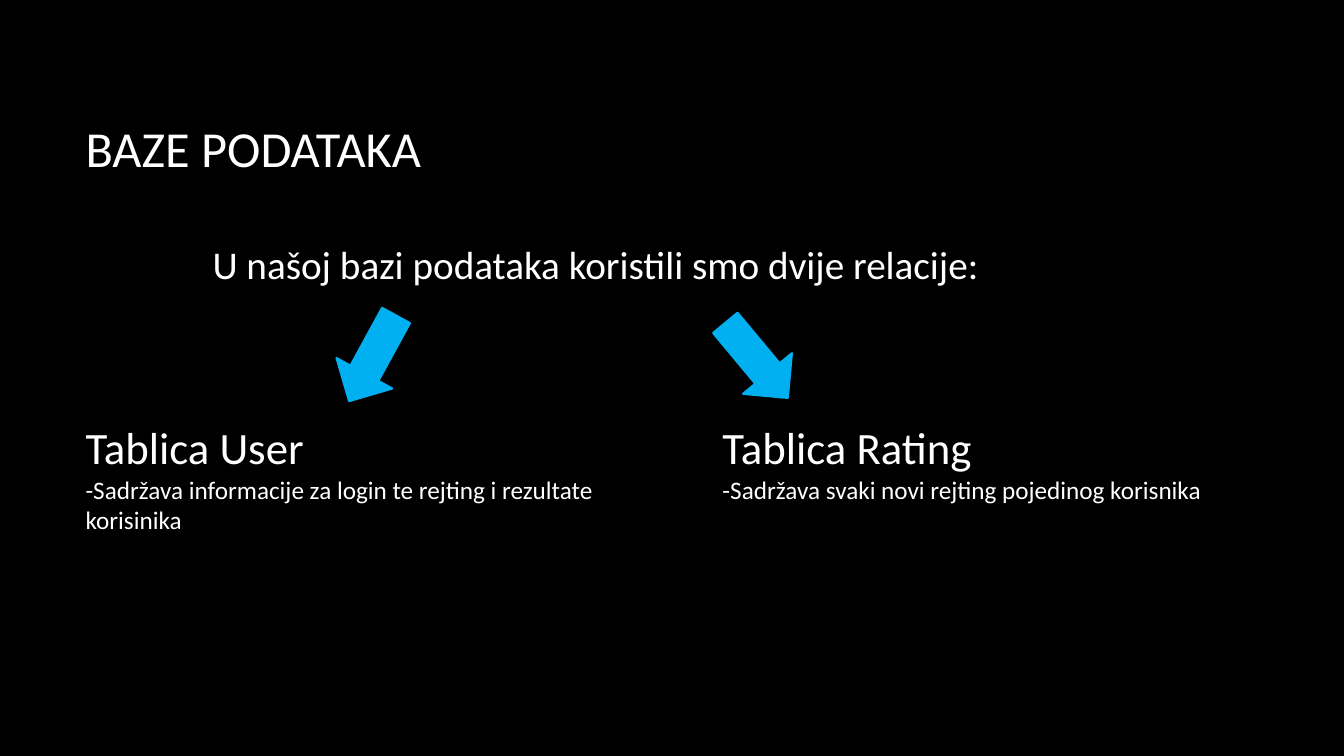
from pptx import Presentation, util as u
from pptx.dml import color
from pptx.enum import shapes, text

FONT = "Calibri"
WHITE = "FFFFFF"
BLACK = "000000"
BLUE = "00B0F0"


def paint(target, value):
    target.solid()
    target.fore_color.rgb = color.RGBColor.from_string(value)


def add_text(slide, box, lines, anchor=text.MSO_ANCHOR.TOP):
    shape = slide.shapes.add_textbox(*(u.Pt(length) for length in box))
    frame = shape.text_frame
    frame.word_wrap = True
    frame.vertical_anchor = anchor
    for index, (words, size) in enumerate(lines):
        paragraph = frame.add_paragraph() if index else frame.paragraphs[0]
        run = paragraph.add_run()
        run.text = words
        run.font.name = FONT
        run.font.size = u.Pt(size)
        paint(run.font.fill, WHITE)


def add_header(slide, box):
    left, top, width, height = box
    add_text(slide, (left, top, width, 114.5), [("BAZE PODATAKA", 36)],
             text.MSO_ANCHOR.MIDDLE)
    add_text(slide, (left + 90.7, top + 119.5, 599, height - 119.5),
             [("U našoj bazi podataka koristili smo dvije relacije:", 28)])


def add_relation(slide, box, name, details):
    add_text(slide, box, [(name, 32)] + [(detail, 18) for detail in details])


def add_arrow(slide, box, rotation):
    shape = slide.shapes.add_shape(shapes.MSO_SHAPE.UP_ARROW,
                                   *(u.Pt(length) for length in box))
    shape.rotation = rotation
    shape.shadow.inherit = False
    paint(shape.fill, BLUE)
    paint(shape.line.fill, BLUE)
    shape.line.width = u.Pt(1.5)


def main():
    presentation = Presentation()
    presentation.slide_width = u.Pt(960)
    presentation.slide_height = u.Pt(540)
    slide = presentation.slides.add_slide(presentation.slide_layouts[6])
    paint(slide.background.fill, BLACK)

    add_header(slide, (54, 48.3, 797.8, 160.5))
    add_relation(slide, (54, 296.6, 390.2, 90), "Tablica User",
                 ["-Sadržava informacije za login te rejting i rezultate",
                  "korisinika"])
    add_relation(slide, (509, 296.6, 390.2, 67.7), "Tablica Rating",
                 ["-Sadržava svaki novi rejting pojedinog korisnika"])
    add_arrow(slide, (243.4, 221, 45.4, 69.8), 208.7)
    add_arrow(slide, (517.7, 222.5, 45.4, 69.8), 140.2)
    presentation.save("out.pptx")


if __name__ == "__main__":
    main()
